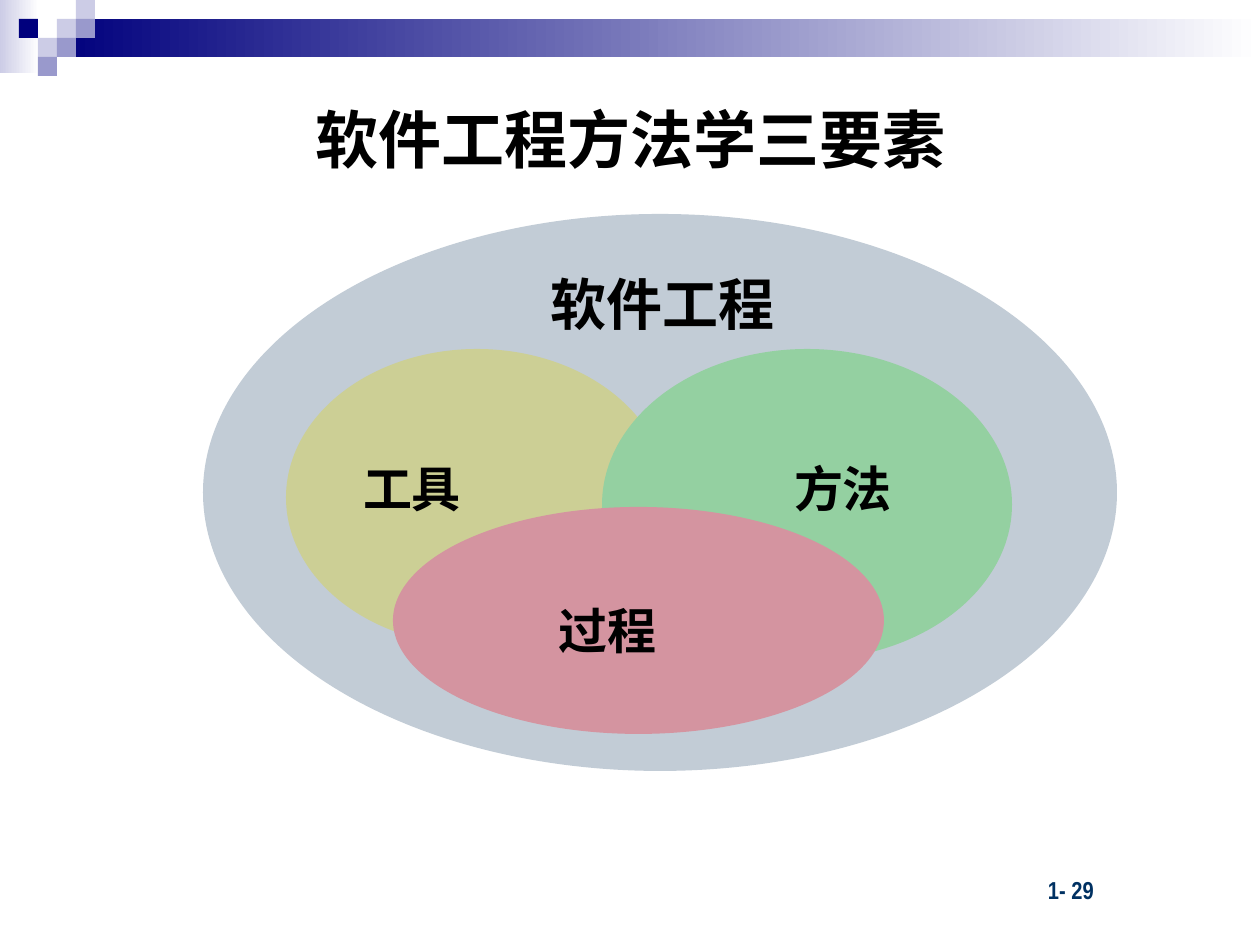
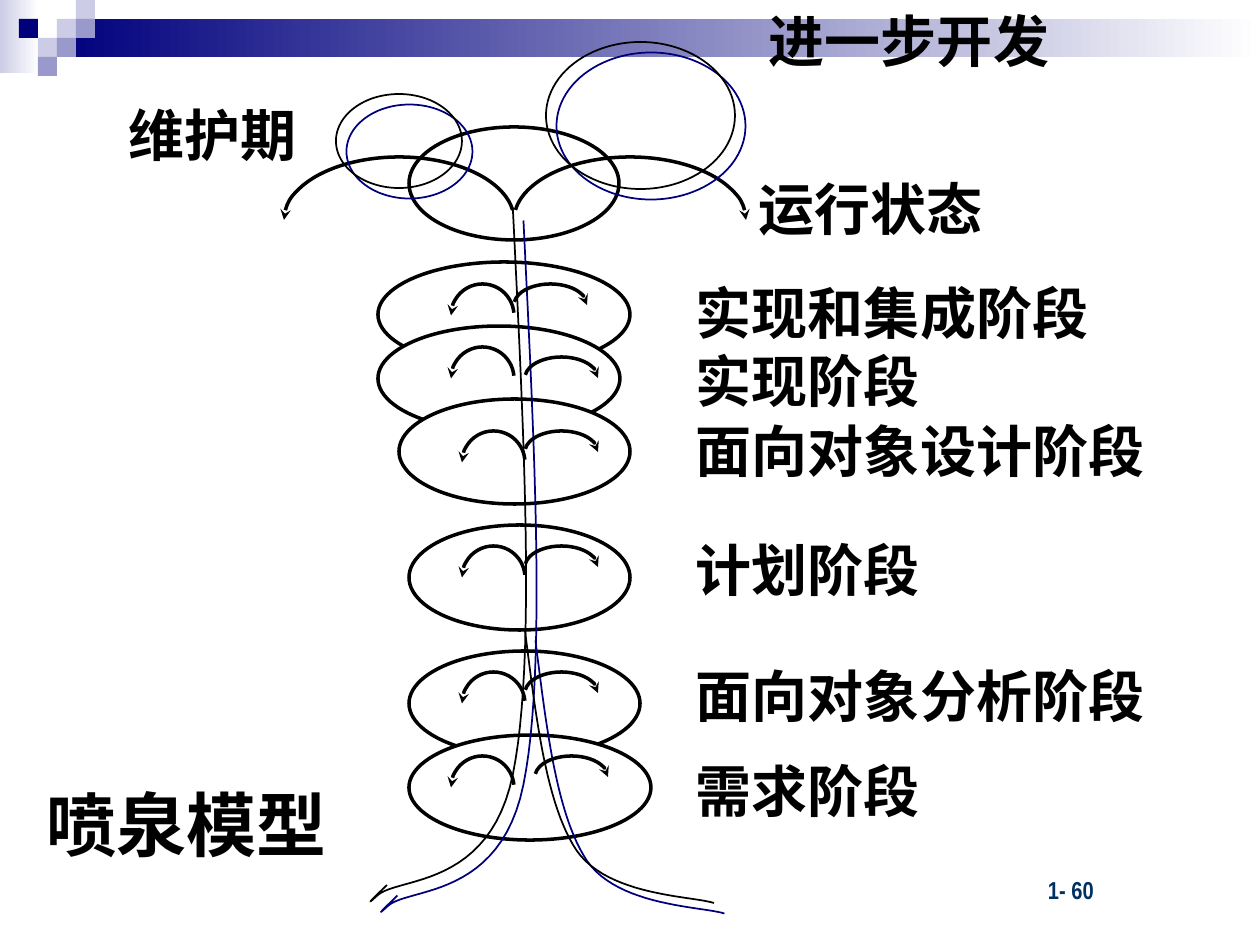
from dataclasses import dataclass
from typing import NamedTuple

from lxml import etree
from pptx import Presentation
from pptx.dml.color import RGBColor
from pptx.enum.shapes import MSO_SHAPE as Shape
from pptx.enum.text import MSO_ANCHOR as Anchor, MSO_AUTO_SIZE as AutoSize, PP_ALIGN as Align
from pptx.oxml.ns import qn
from pptx.util import Pt

EMU_PER_PX = 914400 / 126
WIDTH, HEIGHT = 1260, 945
CELL = 19  # side of one corner mosaic square

BLACK, WHITE = "000000", "FFFFFF"
NAVY, LILAC, PALE_LILAC = "00007D", "9999CC", "CCCCE6"
FOOTER_BLUE = "003162"
LATIN, CJK = "Arial", "Noto Sans CJK SC"


class Box(NamedTuple):
    left: int
    top: int
    width: int
    height: int


class Square(NamedTuple):
    col: int
    row: int
    color: str


class Label(NamedTuple):
    text: str
    box: Box
    size: int = 32


class Point(NamedTuple):
    x: float
    y: float


@dataclass
class Stage:
    """One ring of the fountain, its two spray arcs and its caption."""
    text: str
    ring_left: int
    ring_top: int
    ring_width: int
    spray_left: int
    spray_right: int
    spray_top: int
    text_top: int
    right_drop: int = 0
    fill: str | None = WHITE


MOSAIC = [
    Square(3, 1, PALE_LILAC), Square(4, 0, PALE_LILAC), Square(4, 1, LILAC),
    Square(2, 2, PALE_LILAC), Square(1, 1, NAVY), Square(3, 2, LILAC),
    Square(2, 3, LILAC),
]

VENN = [
    (Box(203, 214, 914, 557), "C2CCD6"),
    (Box(286, 349, 382, 297), "CCCF95"),
    (Box(602, 349, 410, 311), "94D0A1"),
    (Box(393, 507, 491, 227), "D494A0"),
]
VENN_LABELS = [
    Label("软件工程", Box(386, 253, 552, 100)),
    Label("过程", Box(469, 580, 276, 100), 28),
    Label("方法", Box(735, 445, 215, 85), 28),
    Label("工具", Box(304, 445, 215, 85), 28),
]

STAGES = [
    Stage("实现和集成阶段", 378, 262, 252, 451, 514, 284, 273, fill=None),
    Stage("实现阶段", 378, 326, 242, 451, 525, 347, 340, right_drop=10),
    Stage("面向对象设计阶段", 399, 399, 231, 462, 525, 431, 410),
    Stage("计划阶段", 409, 525, 221, 462, 525, 546, 529),
    Stage("面向对象分析阶段", 409, 651, 231, 462, 525, 672, 655),
    Stage("需求阶段", 409, 735, 242, 451, 535, 756, 750),
]
TOP_LABELS = [
    Label("进一步开发", Box(756, 0, 312, 79)),
    Label("运行状态", Box(746, 168, 254, 79)),
    Label("维护期", Box(116, 94, 200, 79)),
]
OPERATION_RING = Box(409, 127, 210, 113)
OPERATION_SPRAYS = Box(284, 157, 230, 126), Box(514, 157, 232, 126)
CLOUDS = [Box(336, 94, 126, 94), Box(546, 42, 189, 147)]

# A start point, then two control points and an end point per segment.
STREAMS = [
    [(513, 210), (524, 435), (536, 660), (513, 774), (490, 888), (399, 877),
     (378, 895), (357, 914), (387, 885), (387, 885)],
    [(525, 630), (536, 717), (546, 805), (577, 851), (609, 896), (692, 896),
     (714, 903)],
]


def px(n: float) -> int:
    return round(n * EMU_PER_PX)


def emu(box: Box) -> list[int]:
    return [px(n) for n in box]


def rgb(color: str) -> RGBColor:
    return RGBColor.from_string(color)


def write(tf, text: str, *, size: int, font: str = LATIN, color: str = BLACK,
          align=Align.LEFT, anchor=Anchor.TOP, indent: int = 0) -> None:
    tf.word_wrap = True
    tf.auto_size = AutoSize.NONE
    tf.vertical_anchor = anchor
    tf.margin_left, tf.margin_right = px(13 + indent), px(12)
    tf.margin_top = tf.margin_bottom = px(6)
    p = tf.paragraphs[0]
    p.alignment = align
    r = p.add_run()
    r.text = text
    r.font.size, r.font.bold, r.font.name = Pt(size), True, font
    r.font.color.rgb = rgb(color)
    etree.SubElement(r.font._element, qn("a:ea"), typeface=CJK)


def add_text(slide, text: str, box: Box, **style) -> None:
    write(slide.shapes.add_textbox(*emu(box)).text_frame, text, **style)


def paint(sp, fill: str | None = None, line: float = 0) -> None:
    """Give a shape a flat fill and a black outline of `line` points, no shadow."""
    sp.shadow.inherit = False
    if fill:
        sp.fill.solid()
        sp.fill.fore_color.rgb = rgb(fill)
    else:
        sp.fill.background()
    if line:
        sp.line.color.rgb = rgb(BLACK)
        sp.line.width = Pt(line)
    else:
        sp.line.fill.background()


def add_shape(slide, kind, box: Box, fill: str | None = None, line: float = 0):
    sp = slide.shapes.add_shape(kind, *emu(box))
    paint(sp, fill, line)
    return sp


def add_fade(slide, box: Box, color: str) -> None:
    """Rectangle that fades from `color` to white, left to right."""
    sp = add_shape(slide, Shape.RECTANGLE, box)
    sp.fill.gradient()
    sp.fill.gradient_angle = 0
    for stop, stop_color in zip(sp.fill.gradient_stops, (color, WHITE)):
        stop.color.rgb = rgb(stop_color)


def add_navy_shadow(sp) -> None:
    effects = sp._element.spPr.find(qn("a:effectLst"))
    shadow = etree.SubElement(effects, qn("a:outerShdw"), dist=str(Pt(8.5)),
                              dir="2700000", algn="ctr", rotWithShape="0")
    etree.SubElement(shadow, qn("a:srgbClr"), val=NAVY)


def add_spray(slide, box: Box, leftward: bool) -> None:
    """Upper half of an ellipse with an arrowhead at its outer end."""
    sp = add_shape(slide, Shape.ARC, box, line=2)
    start, end = (180, 355) if leftward else (185, 0)
    sp.adjustments[0], sp.adjustments[1] = start * 0.6, end * 0.6
    tip = "a:headEnd" if leftward else "a:tailEnd"
    etree.SubElement(sp.line._get_or_add_ln(), qn(tip), type="stealth")


def bezier(points: list[tuple[int, int]], steps: int = 24) -> list[Point]:
    curve = [Point(*points[0])]
    for i in range(0, len(points) - 1, 3):
        for step in range(1, steps + 1):
            t = step / steps
            weights = (1 - t) ** 3, 3 * t * (1 - t) ** 2, 3 * t * t * (1 - t), t ** 3
            curve.append(Point(*(
                sum(w * n for w, n in zip(weights, axis))
                for axis in zip(*points[i:i + 4]))))
    return curve


def add_stream(slide, points: list[tuple[int, int]]) -> None:
    start, *rest = [(px(pt.x), px(pt.y)) for pt in bezier(points)]
    builder = slide.shapes.build_freeform(*start)
    builder.add_line_segments(rest, close=False)
    sp = builder.convert_to_shape()
    paint(sp, line=1)
    add_navy_shadow(sp)


def add_slide(prs, title: str, box: Box, number: int, *, size: int, align):
    """Title-only slide with the corner mosaic, band and page number."""
    slide = prs.slides.add_slide(prs.slide_layouts[5])
    sp = slide.shapes.title
    sp.left, sp.top, sp.width, sp.height = emu(box)
    write(sp.text_frame, title, size=size, align=align, anchor=Anchor.MIDDLE)

    add_fade(slide, Box(0, 0, 39, 73), PALE_LILAC)
    add_fade(slide, Box(3 * CELL, CELL, WIDTH - 3 * CELL, 2 * CELL), NAVY)
    for sq in MOSAIC:
        add_shape(slide, Shape.RECTANGLE,
                  Box(sq.col * CELL, sq.row * CELL, CELL, CELL), sq.color)
    add_text(slide, f"1- {number}", Box(917, 869, 262, 42), size=14,
             font="Arial Narrow", color=FOOTER_BLUE, indent=118)
    return slide


def build_elements(prs) -> None:
    slide = add_slide(prs, "软件工程方法学三要素", Box(63, 63, 1134, 151), 29,
                      size=36, align=Align.CENTER)
    for box, color in VENN:
        add_shape(slide, Shape.OVAL, box, color)
    for label in VENN_LABELS:
        add_text(slide, label.text, label.box, size=label.size,
                 align=Align.CENTER, anchor=Anchor.MIDDLE)


def build_fountain(prs) -> None:
    slide = add_slide(prs, "喷泉模型", Box(34, 780, 861, 87), 60,
                      size=40, align=Align.LEFT)
    add_shape(slide, Shape.OVAL, OPERATION_RING, line=2)
    left_spray, right_spray = OPERATION_SPRAYS
    add_spray(slide, left_spray, leftward=True)
    add_spray(slide, right_spray, leftward=False)
    for box in CLOUDS:
        add_navy_shadow(add_shape(slide, Shape.OVAL, box, line=1))
    for st in STAGES:
        add_shape(slide, Shape.OVAL,
                  Box(st.ring_left, st.ring_top, st.ring_width, 105), st.fill, line=2)
    for points in STREAMS:
        add_stream(slide, points)
    for st in STAGES:
        add_spray(slide, Box(st.spray_left, st.spray_top, 63, 63), leftward=True)
        add_spray(slide, Box(st.spray_right, st.spray_top + st.right_drop, 73, 42),
                  leftward=False)
    captions = [Label(st.text, Box(683, st.text_top, 577, 79)) for st in STAGES]
    for label in TOP_LABELS + captions:
        add_text(slide, label.text, label.box, size=label.size, font=CJK)


def main() -> None:
    prs = Presentation()
    prs.slide_width, prs.slide_height = px(WIDTH), px(HEIGHT)
    build_elements(prs)
    build_fountain(prs)
    prs.save("out.pptx")


if __name__ == "__main__":
    main()
